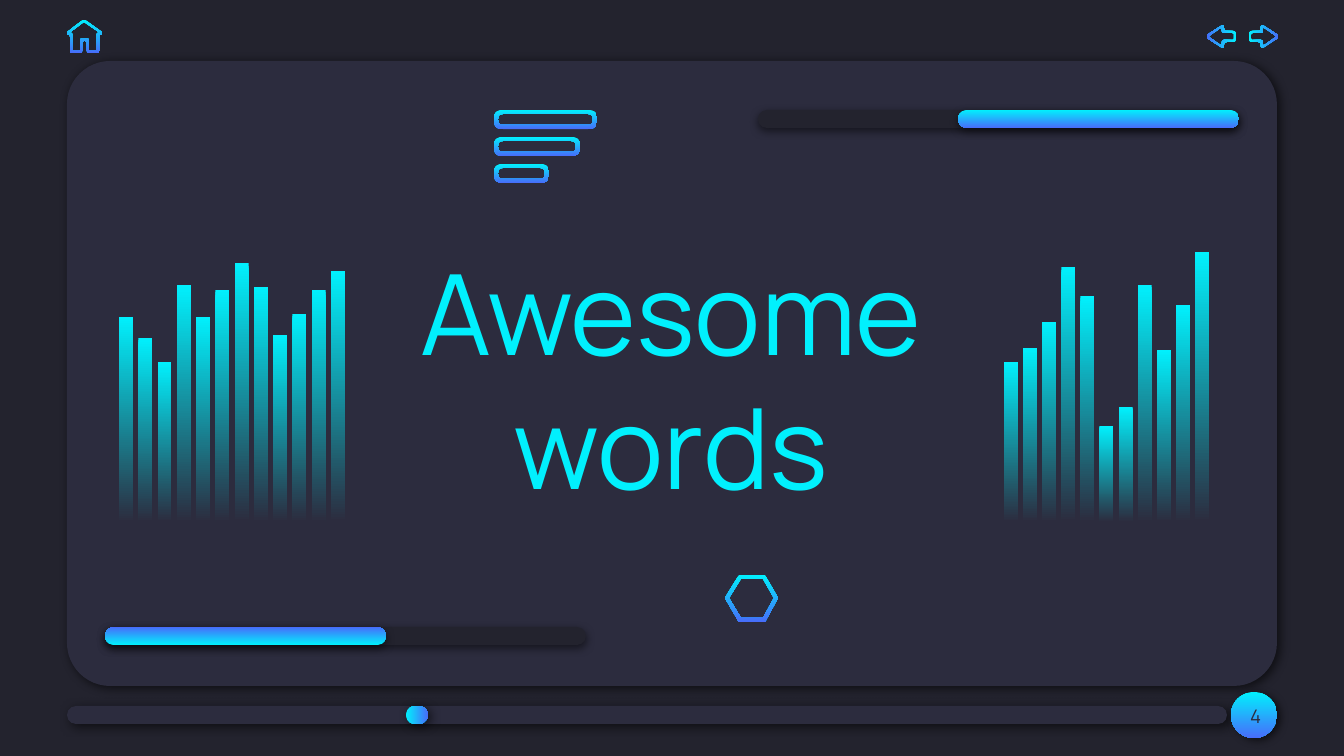
from lxml import etree
from pptx import Presentation
from pptx import util as u
from pptx.dml.color import RGBColor
from pptx.enum import shapes, text
from pptx.oxml.ns import qn

PX = 6803.57  # EMU in one px
FINE = 10  # freeform grid steps in one px


class Theme:
    dark, panel, cyan, blue, black = "23232E", "2C2C3E", "01F0FD", "476DFA", "000000"
    font = "Manrope"
    title_size, number_size = 60, 10
    # opacity %, blur pt, distance pt, direction in degrees
    soft_shadow = (60, 5.6, 2.2, 33)
    badge_shadow = (60, 4.5, 2.2, 33)
    track_shadow = (50, 4.5, 1.5, 90)


# Content
TITLE, NUMBER = "Awesome words", "4"
GLOW = (Theme.cyan, Theme.blue)
FADE = (Theme.cyan, Theme.panel)
DOWN, UP, RIGHT, LEFT = 270, 90, 0, 180  # gradient directions

# Equalizers: left edge of the first and last bar, then the bar tops
EQUALIZERS = [
    (1004, 1195, [362, 348, 322, 267, 296, 426, 407, 285, 350, 305, 252]),
    (119, 331, [317, 338, 362, 285, 317, 290, 263, 287, 335, 314, 290, 271]),
]
BAR_WIDTH, BAR_BOTTOM = 14, 522

# Progress bars: track left, top, filled part left, direction
PROGRESS = [(758, 110, 958, DOWN), (105, 627, 105, UP)]
TRACK_WIDTH, FILLED_WIDTH, TRACK_HEIGHT = 481, 281, 18

MENU_WIDTHS = [103, 86, 55]
MENU_LEFT, MENU_TOP, MENU_HEIGHT, MENU_PITCH, MENU_STROKE = 494, 110, 19, 27, 4

# Icon outlines: outer edge, inner edge
HEXAGON = (
    [(739, 575), (765, 575), (778, 598), (765, 622), (739, 622), (725, 598)],
    [(741, 579), (763, 579), (774, 598), (763, 618), (741, 618), (729, 598)],
)
HOME = (
    [(84, 19), (103, 33), (101, 35), (99, 35), (99, 53), (87, 53), (87, 41),
     (82, 41), (82, 53), (70, 53), (70, 35), (68, 35), (66, 33)],
    [(84, 22), (100, 33), (97, 33), (97, 51), (89, 51), (89, 39),
     (80, 39), (80, 51), (72, 51), (72, 33), (69, 33)],
)
NEXT = (
    [(1249, 31), (1261, 31), (1261, 24), (1278, 35), (1278, 38),
     (1261, 49), (1261, 42), (1249, 42)],
    [(1251, 33), (1263, 33), (1263, 27), (1276, 36), (1276, 37),
     (1263, 46), (1263, 40), (1251, 40)],
)
MIRROR_SUM = 2485  # x of a "next" point plus x of its "previous" twin
PREVIOUS = [[(MIRROR_SUM - x, y) for x, y in edge] for edge in NEXT]


def px(*lengths):
    return [u.Emu(round(length * PX)) for length in lengths]


def paint(shape, colors, direction=DOWN, shadow=None):
    """Fill with one colour or a two-colour gradient, with an optional shadow."""
    shape.line.fill.background()
    if isinstance(colors, str):
        shape.fill.solid()
        shape.fill.fore_color.rgb = RGBColor.from_string(colors)
    else:
        shape.fill.gradient()
        shape.fill.gradient_angle = direction
        for stop, color, position in zip(shape.fill.gradient_stops, colors, (0, 1)):
            stop.color.rgb = RGBColor.from_string(color)
            stop.position = position
    shape.shadow.inherit = False
    if shadow:
        opacity, blur, distance, angle = shadow
        effects = shape._element.spPr.find(qn("a:effectLst"))
        outer = etree.SubElement(
            effects, qn("a:outerShdw"), blurRad=str(u.Pt(blur)), dist=str(u.Pt(distance)),
            dir=str(angle * 60000), algn="bl", rotWithShape="0")
        color = etree.SubElement(outer, qn("a:srgbClr"), val=Theme.black)
        etree.SubElement(color, qn("a:alpha"), val=str(opacity * 1000))


def add_box(slide, kind, box, colors, direction=DOWN, shadow=None, rounding=None):
    shape = slide.shapes.add_shape(kind, *px(*box))
    if rounding is not None:
        shape.adjustments[0] = rounding
    paint(shape, colors, direction, shadow)
    return shape


def add_pill(slide, box, colors, direction=DOWN, shadow=None, rounding=0.5):
    return add_box(slide, shapes.MSO_SHAPE.ROUNDED_RECTANGLE, box, colors,
                   direction, shadow, rounding)


def rounded(points, radius, steps=6):
    """Replace every corner by a short quadratic curve."""
    if not radius:
        return points
    curve = []
    for index, (x, y) in enumerate(points):
        ends = []
        for near_x, near_y in (points[index - 1], points[(index + 1) % len(points)]):
            length = ((near_x - x) ** 2 + (near_y - y) ** 2) ** 0.5
            share = min(radius / length, 0.5)
            ends.append((x + (near_x - x) * share, y + (near_y - y) * share))
        (ax, ay), (bx, by) = ends
        for step in range(steps + 1):
            t = step / steps
            weights = ((1 - t) ** 2, 2 * t * (1 - t), t ** 2)
            curve.append((sum(w * v for w, v in zip(weights, (ax, x, bx))),
                          sum(w * v for w, v in zip(weights, (ay, y, by)))))
    return curve


def add_ring(slide, edges, radii, direction=DOWN):
    """Draw the band between an outer and an inner edge."""
    outer, inner = [[(x * FINE, y * FINE) for x, y in rounded(edge, radius)]
                    for edge, radius in zip(edges, radii)]
    inner = inner[::-1]
    builder = slide.shapes.build_freeform(*outer[0], scale=PX / FINE)
    builder.add_line_segments(outer[1:], close=True)
    builder.move_to(*inner[0])
    builder.add_line_segments(inner[1:], close=True)
    paint(builder.convert_to_shape(), GLOW, direction)


def corners(left, top, width, height):
    right, bottom = left + width, top + height
    return [(left, top), (right, top), (right, bottom), (left, bottom)]


def write(shape, words, *, size, color):
    frame = shape.text_frame
    frame.word_wrap = True
    frame.auto_size = text.MSO_AUTO_SIZE.NONE
    frame.vertical_anchor = text.MSO_ANCHOR.MIDDLE
    frame.margin_left = frame.margin_right = u.Inches(0.1)
    frame.margin_top = frame.margin_bottom = u.Inches(0.1)
    paragraph = frame.paragraphs[0]
    paragraph.alignment = text.PP_ALIGN.CENTER
    run = paragraph.add_run()
    run.text = words
    run.font.name, run.font.size = Theme.font, u.Pt(size)
    run.font.color.rgb = RGBColor.from_string(color)


def main():
    presentation = Presentation()
    presentation.slide_width, presentation.slide_height = px(1344, 756)
    slide = presentation.slides.add_slide(presentation.slide_layouts[5])
    slide.background.fill.solid()
    slide.background.fill.fore_color.rgb = RGBColor.from_string(Theme.dark)

    # Panel, bottom track and slide number
    add_pill(slide, (67, 61, 1210, 625), Theme.panel,
             shadow=Theme.soft_shadow, rounding=0.069)
    add_pill(slide, (67, 706, 1160, 18), Theme.panel, shadow=Theme.soft_shadow)
    add_box(slide, shapes.MSO_SHAPE.OVAL, (1231, 692, 46, 46), GLOW,
            shadow=Theme.badge_shadow)
    number = slide.shapes.add_textbox(*px(1215, 687, 81, 58))
    write(number, NUMBER, size=Theme.number_size, color=Theme.panel)

    # Title, brought in front of the panel
    title = slide.shapes.title
    title.left, title.top, title.width, title.height = px(329, 243, 684, 270)
    write(title, TITLE, size=Theme.title_size, color=Theme.cyan)
    number._element.addnext(title._element)

    # Navigation arrows
    add_ring(slide, NEXT, (3, 2), RIGHT)
    add_ring(slide, PREVIOUS, (3, 2), LEFT)

    # Equalizers
    for first, last, tops in EQUALIZERS:
        pitch = (last - first) / (len(tops) - 1)
        for index, top in enumerate(tops):
            box = (first + index * pitch, top, BAR_WIDTH, BAR_BOTTOM - top)
            add_box(slide, shapes.MSO_SHAPE.RECTANGLE, box, FADE)

    # Menu lines
    for row, width in enumerate(MENU_WIDTHS):
        top = MENU_TOP + row * MENU_PITCH
        edges = (corners(MENU_LEFT, top, width, MENU_HEIGHT),
                 corners(MENU_LEFT + MENU_STROKE, top + MENU_STROKE,
                         width - 2 * MENU_STROKE, MENU_HEIGHT - 2 * MENU_STROKE))
        add_ring(slide, edges, (9, 5))

    # Hexagon, slider knob and home icon
    add_ring(slide, HEXAGON, (0, 0))
    add_pill(slide, (406, 706, 22, 18), GLOW, RIGHT, Theme.soft_shadow)
    add_ring(slide, HOME, (2, 1))

    # Progress bars
    for left, top, filled_left, direction in PROGRESS:
        add_pill(slide, (left, top, TRACK_WIDTH, TRACK_HEIGHT), Theme.dark,
                 shadow=Theme.track_shadow)
        add_pill(slide, (filled_left, top, FILLED_WIDTH, TRACK_HEIGHT), GLOW,
                 direction, Theme.track_shadow)

    presentation.save("out.pptx")


if __name__ == "__main__":
    main()
